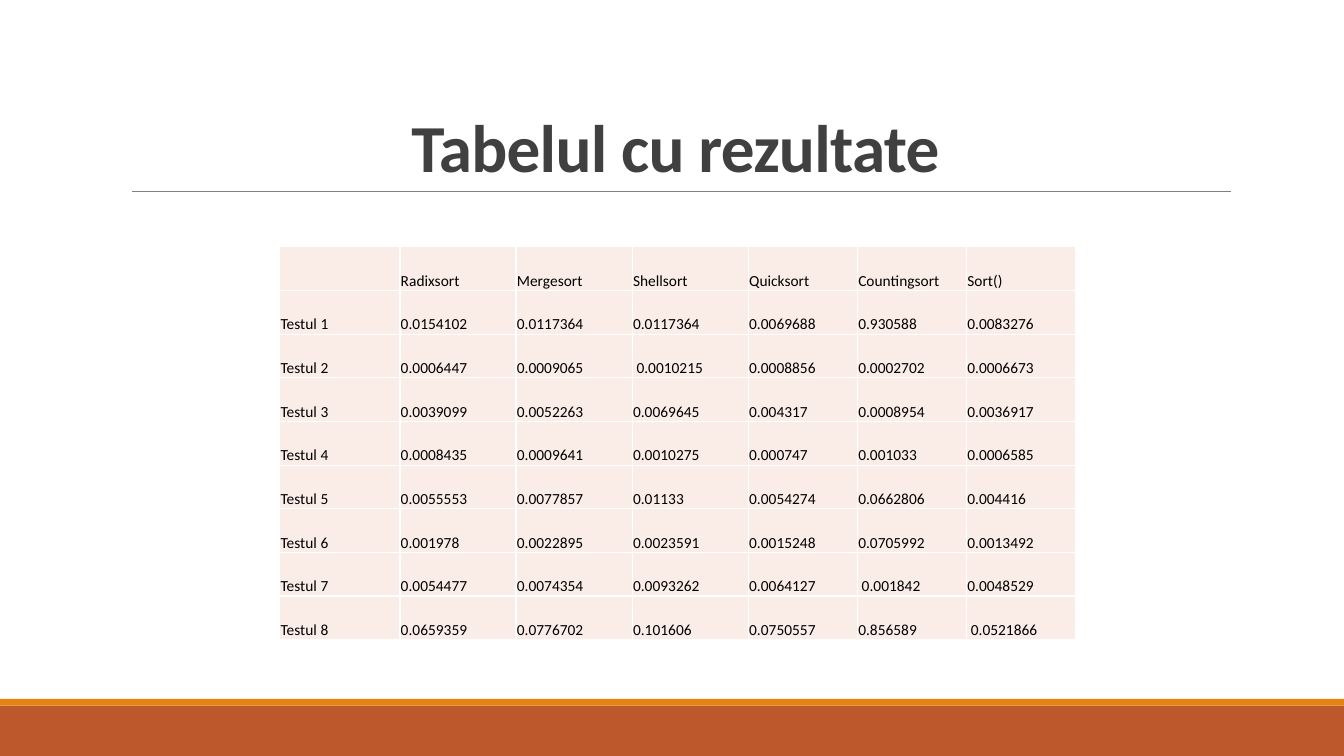
from pptx import Presentation
from pptx import util as u
from pptx.dml.color import RGBColor
from pptx.enum import shapes, text
from pptx.oxml import parse_xml
from pptx.oxml.ns import nsdecls
from lxml import etree

Cm, Pt = u.Cm, u.Pt
FONT = "Calibri"
COLORS = {
    "band": "BD582C",
    "stripe": "E48312",
    "rule": "808080",
    "title": "404040",
    "cell": "FAEDE7",
    "border": "FFFFFF",
    "text": "000000",
}
HEADERS = ["", "Radixsort", "Mergesort", "Shellsort", "Quicksort", "Countingsort", "Sort()"]
RESULTS = [
    ["0.0154102", "0.0117364", "0.0117364", "0.0069688", "0.930588", "0.0083276"],
    ["0.0006447", "0.0009065", " 0.0010215", "0.0008856", "0.0002702", "0.0006673"],
    ["0.0039099", "0.0052263", "0.0069645", "0.004317", "0.0008954", "0.0036917"],
    ["0.0008435", "0.0009641", "0.0010275", "0.000747", "0.001033", "0.0006585"],
    ["0.0055553", "0.0077857", "0.01133", "0.0054274", "0.0662806", "0.004416"],
    ["0.001978", "0.0022895", "0.0023591", "0.0015248", "0.0705992", "0.0013492"],
    ["0.0054477", "0.0074354", "0.0093262", "0.0064127", " 0.001842", "0.0048529"],
    ["0.0659359", "0.0776702", "0.101606", "0.0750557", "0.856589", " 0.0521866"],
]
COLUMN_SHARES = [1.19, 1.15, 1.15, 1.15, 1.08, 1.08, 1.08]


def color(name):
    return RGBColor.from_string(COLORS[name])


def style_run(r, size, name, bold=False):
    r.font.name = FONT
    r.font.size = Pt(size)
    r.font.bold = bold
    r.font.color.rgb = color(name)


def add_footer(s, left, top, width, height):
    """Thin stripe above a solid band."""
    stripe = Cm(0.17)
    for name, y, h in (("band", top + stripe, height - stripe), ("stripe", top, stripe)):
        sp = s.shapes.add_shape(shapes.MSO_SHAPE.RECTANGLE, left, y, width, h)
        sp.shadow.inherit = False
        sp.fill.solid()
        sp.fill.fore_color.rgb = color(name)
        sp.line.fill.background()


def add_title(s, left, top, width, height):
    """Centred heading with a rule along its bottom edge."""
    rule_left, rule_width = left + Cm(0.28), Cm(27.68)
    bottom = top + height
    rule = s.shapes.add_connector(
        shapes.MSO_CONNECTOR.STRAIGHT, rule_left, bottom, rule_left + rule_width, bottom)
    rule.line.color.rgb = color("rule")
    rule.line.width = Pt(0.5)
    etree.SubElement(rule._element.spPr, "{http://schemas.openxmlformats.org/drawingml/2006/main}effectLst")

    tf = s.shapes.add_textbox(left, top, width, height).text_frame
    tf.word_wrap = True
    tf.vertical_anchor = text.MSO_ANCHOR.BOTTOM
    tf.text = "Tabelul cu rezultate"
    p = tf.paragraphs[0]
    p.alignment = text.PP_ALIGN.CENTER
    p.line_spacing = 0.85
    r = p.runs[0]
    style_run(r, 48, "title", bold=True)
    r.font._element.set("spc", "-50")


def style_cell(cell):
    # Borders come before the fill in the cell properties
    tc_pr = cell._tc.get_or_add_tcPr()
    for side in ("lnL", "lnR", "lnT", "lnB"):
        tc_pr.append(parse_xml(
            f'<a:{side} {nsdecls("a")} w="{Pt(1)}"><a:solidFill>'
            f'<a:srgbClr val="{COLORS["border"]}"/></a:solidFill></a:{side}>'))
    cell.fill.solid()
    cell.fill.fore_color.rgb = color("cell")
    cell.margin_left = cell.margin_right = cell.margin_top = Cm(0.02)
    cell.margin_bottom = 0
    cell.vertical_anchor = text.MSO_ANCHOR.BOTTOM
    for r in cell.text_frame.paragraphs[0].runs:
        style_run(r, 11, "text")


def add_results(s, left, top, width, height):
    """Running times, one row per test and one column per algorithm."""
    rows = [HEADERS] + [[f"Testul {n}"] + values for n, values in enumerate(RESULTS, 1)]
    table = s.shapes.add_table(len(rows), len(HEADERS), left, top, width, height).table
    table.first_row = table.horz_banding = False
    for column, share in zip(table.columns, COLUMN_SHARES):
        column.width = int(width * share / sum(COLUMN_SHARES))
    for i, values in enumerate(rows):
        for j, value in enumerate(values):
            cell = table.cell(i, j)
            cell.text_frame.text = value
            style_cell(cell)


def main():
    prs = Presentation()
    prs.slide_width, prs.slide_height = Cm(33.87), Cm(19.05)
    s = prs.slides.add_slide(prs.slide_layouts[6])
    footer_height = Cm(1.44)
    add_footer(s, 0, prs.slide_height - footer_height, prs.slide_width, footer_height)
    add_title(s, Cm(3.05), Cm(0.79), Cm(27.94), Cm(4.03))
    add_results(s, Cm(7.05), Cm(6.22), Cm(20.06), Cm(9.9))
    prs.save("out.pptx")


if __name__ == "__main__":
    main()
